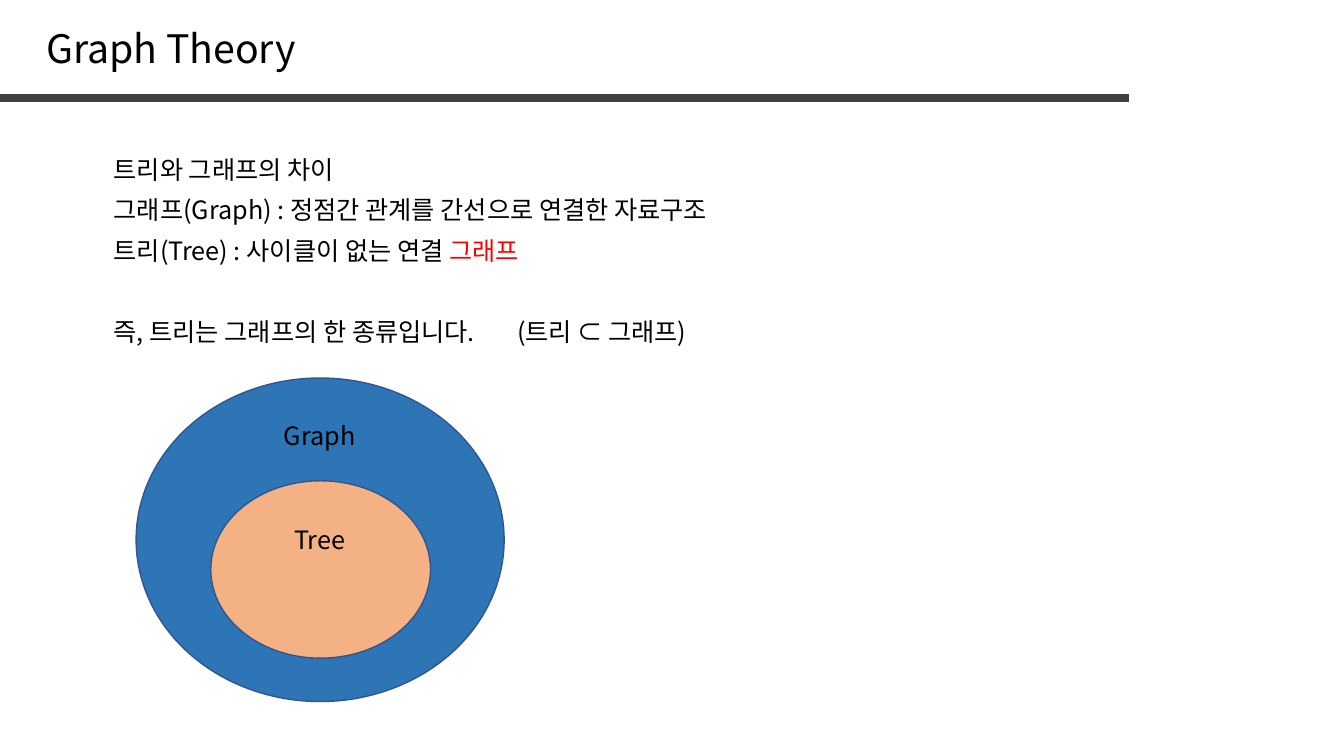
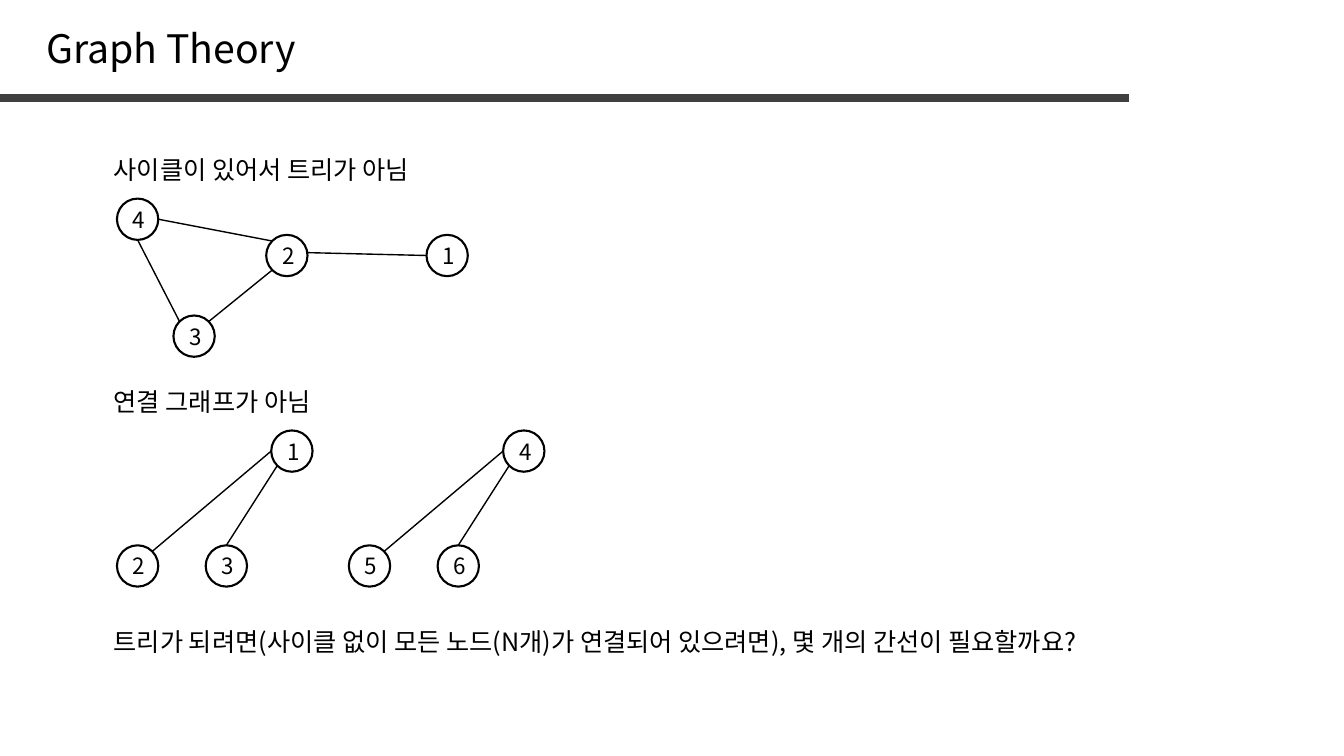
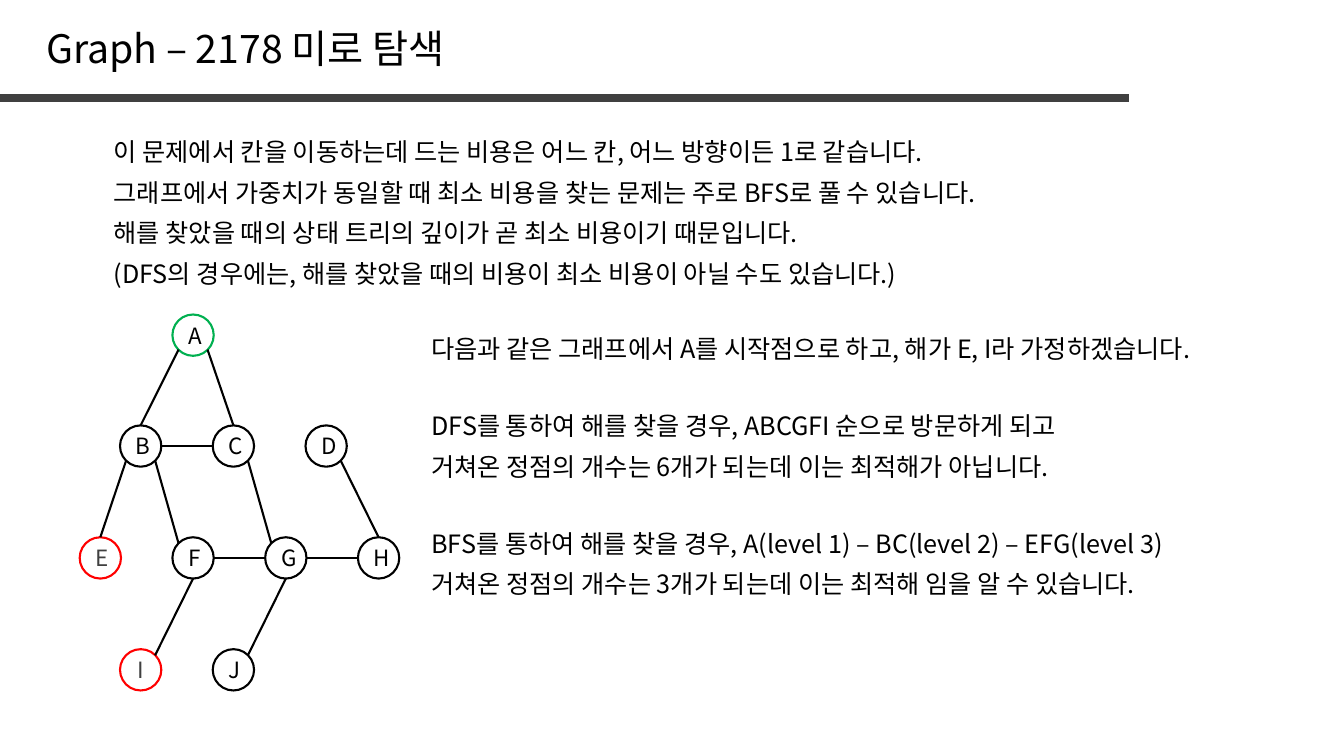
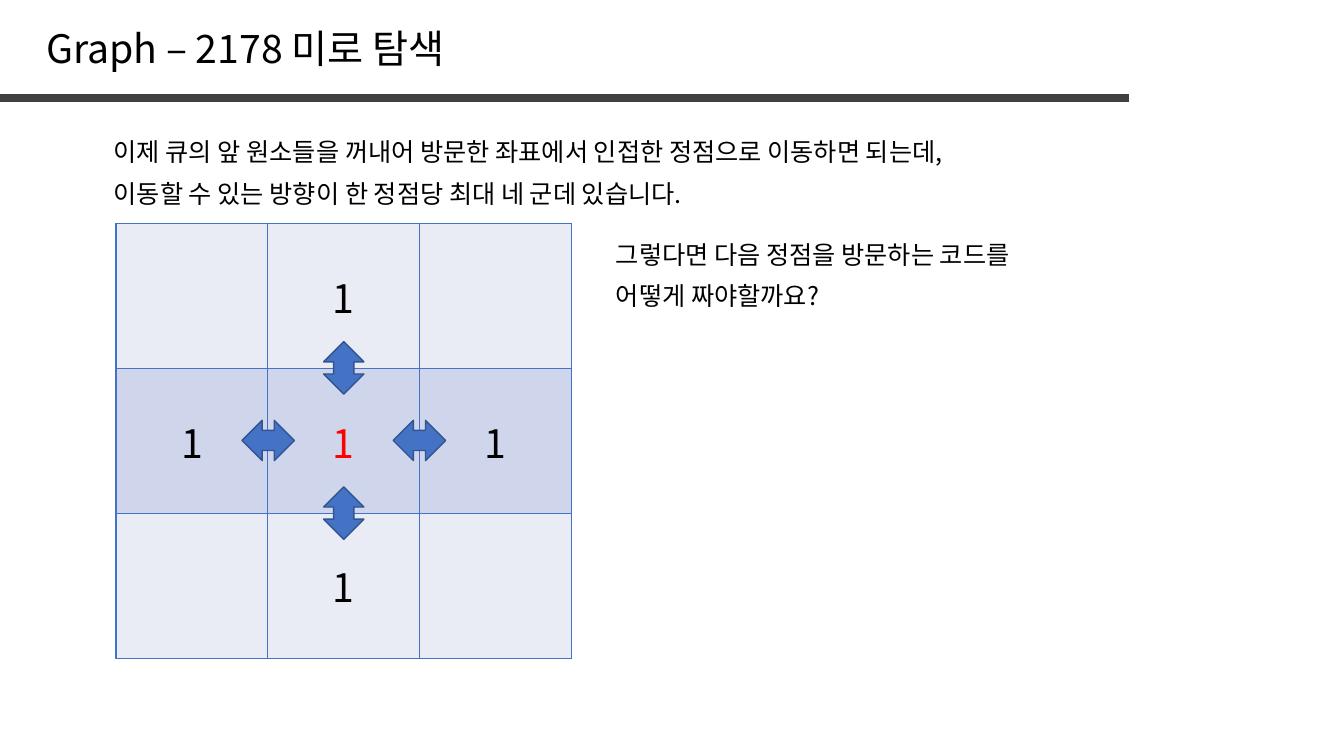
from dataclasses import dataclass
from enum import Enum

from lxml.etree import SubElement
from pptx import Presentation
from pptx.dml.color import RGBColor
from pptx.enum.shapes import MSO_CONNECTOR, MSO_SHAPE
from pptx.enum.text import MSO_ANCHOR, MSO_AUTO_SIZE, PP_ALIGN
from pptx.oxml.ns import qn
from pptx.util import Inches, Pt


@dataclass(frozen=True)
class Theme:
    font: str = "Noto Sans CJK KR"
    black: str = "000000"
    gray: str = "404040"
    red: str = "FF0000"
    green: str = "00B050"
    blue: str = "4472C4"
    outline: str = "325491"
    graph_fill: str = "2E75B6"
    tree_fill: str = "F4B183"
    row_fills: tuple = ("E9EBF5", "CFD5EA")
    title_size: int = 28
    body_size: int = 18
    node_size: int = 16
    cell_size: int = 28


THEME = Theme()
BODY_LEFT = 1.03
BODY_WIDTH = 11.2
LINE_HEIGHT = 0.4
NODE_DIAMETER = 0.41


class Site(Enum):
    """Points on a node's rim, as fractions of its box."""
    TOP = (0.5, 0)
    TOP_LEFT = (0.15, 0.15)
    LEFT = (0, 0.5)
    BOTTOM_LEFT = (0.15, 0.85)
    BOTTOM = (0.5, 1)
    BOTTOM_RIGHT = (0.85, 0.85)
    RIGHT = (1, 0.5)
    UPPER_RIGHT = (1, 0.43)
    TOP_RIGHT = (0.85, 0.15)


@dataclass(frozen=True)
class Node:
    label: str
    left: float
    top: float
    line_color: str = THEME.black
    text_color: str = THEME.black

    def point(self, site: Site) -> tuple[float, float]:
        across, down = site.value
        return self.left + across * NODE_DIAMETER, self.top + down * NODE_DIAMETER


@dataclass(frozen=True)
class Edge:
    start: str
    start_site: Site
    end: str
    end_site: Site


@dataclass(frozen=True)
class TextLine:
    text: str
    top: float
    left: float = BODY_LEFT
    width: float = BODY_WIDTH


def write(paragraph, text: str, *, size: int = THEME.body_size,
          color: str = THEME.black, align=None) -> None:
    """Append one formatted run to the paragraph."""
    if align is not None:
        paragraph.alignment = align
    run = paragraph.add_run()
    run.text = text
    run.font.size = Pt(size)
    run.font.name = THEME.font
    run.font.color.rgb = RGBColor.from_string(color)
    SubElement(run.font._element, qn("a:ea"), typeface=THEME.font)


def add_text(slide, line: TextLine, *, wrap: bool = True, **text_format):
    box = slide.shapes.add_textbox(Inches(line.left), Inches(line.top),
                                   Inches(line.width), Inches(LINE_HEIGHT))
    frame = box.text_frame
    frame.word_wrap = wrap
    frame.auto_size = MSO_AUTO_SIZE.SHAPE_TO_FIT_TEXT
    write(frame.paragraphs[0], line.text, **text_format)
    return frame.paragraphs[0]


def add_line(slide, start: tuple, end: tuple, *, color: str = THEME.black,
             width: float = 1) -> None:
    line = slide.shapes.add_connector(
        MSO_CONNECTOR.STRAIGHT, *(Inches(value) for value in (*start, *end)))
    line.line.color.rgb = RGBColor.from_string(color)
    line.line.width = Pt(width)
    SubElement(line._element.spPr, qn("a:effectLst"))


def add_figure(slide, kind, left: float, top: float, width: float, height: float, *,
               fill: str | None = None, color: str = THEME.outline,
               line_width: float = 1):
    shape = slide.shapes.add_shape(kind, Inches(left), Inches(top),
                                   Inches(width), Inches(height))
    shape.shadow.inherit = False
    if fill:
        shape.fill.solid()
        shape.fill.fore_color.rgb = RGBColor.from_string(fill)
    else:
        shape.fill.background()
    shape.line.color.rgb = RGBColor.from_string(color)
    shape.line.width = Pt(line_width)
    return shape


def add_network(slide, nodes: list[Node], edges: list[Edge], edge_width: float) -> None:
    """Draw labelled circles and the lines that join their rims."""
    for node in nodes:
        circle = add_figure(slide, MSO_SHAPE.OVAL, node.left, node.top,
                            NODE_DIAMETER, NODE_DIAMETER,
                            color=node.line_color, line_width=1.5)
        circle.text_frame.vertical_anchor = MSO_ANCHOR.MIDDLE
        write(circle.text_frame.paragraphs[0], node.label, size=THEME.node_size,
              color=node.text_color, align=PP_ALIGN.CENTER)
    by_label = {node.label: node for node in nodes}
    for edge in edges:
        add_line(slide, by_label[edge.start].point(edge.start_site),
                 by_label[edge.end].point(edge.end_site), width=edge_width)


def add_titled_slide(presentation, title: str, lines: list[TextLine]):
    slide = presentation.slides.add_slide(presentation.slide_layouts[6])
    add_line(slide, (0, 0.97), (11.2, 0.97), color=THEME.gray, width=6)
    add_text(slide, TextLine(title, 0.19, 0.36, 4.26), wrap=False, size=THEME.title_size,
             align=PP_ALIGN.LEFT)
    for line in lines:
        add_text(slide, line)
    return slide


def build_definitions(presentation) -> None:
    slide = add_titled_slide(presentation, "Graph Theory", [
        TextLine("트리와 그래프의 차이", 1.48),
        TextLine("그래프(Graph) : 정점간 관계를 간선으로 연결한 자료구조", 1.88),
        TextLine("즉, 트리는 그래프의 한 종류입니다.\t(트리 ⊂ 그래프)", 3.09),
    ])
    tree_definition = add_text(slide, TextLine("트리(Tree) : 사이클이 없는 연결 ", 2.29))
    write(tree_definition, "그래프", color=THEME.red)
    add_figure(slide, MSO_SHAPE.OVAL, 1.35, 3.75, 3.65, 3.21, fill=THEME.graph_fill)
    add_figure(slide, MSO_SHAPE.OVAL, 2.09, 4.77, 2.18, 1.76, fill=THEME.tree_fill)
    for label, top in (("Graph", 4.12), ("Tree", 5.15)):
        add_text(slide, TextLine(label, top, 2.31, 1.72), align=PP_ALIGN.CENTER)


def build_counterexamples(presentation) -> None:
    slide = add_titled_slide(presentation, "Graph Theory", [
        TextLine("사이클이 있어서 트리가 아님", 1.48),
        TextLine("연결 그래프가 아님", 3.78),
        TextLine("트리가 되려면(사이클 없이 모든 노드(N개)가 연결되어 있으려면), "
                 "몇 개의 간선이 필요할까요?", 6.16),
    ])
    cycle_nodes = [Node("4", 1.16, 1.97), Node("2", 2.64, 2.33),
                   Node("3", 1.72, 3.13), Node("1", 4.23, 2.33)]
    cycle_edges = [
        Edge("4", Site.RIGHT, "2", Site.TOP_LEFT),
        Edge("4", Site.BOTTOM, "3", Site.TOP_LEFT),
        Edge("2", Site.UPPER_RIGHT, "1", Site.LEFT),
        Edge("3", Site.TOP_RIGHT, "2", Site.BOTTOM_LEFT),
    ]
    add_network(slide, cycle_nodes, cycle_edges, 1)
    for (parent, first, second), left in (("123", 1.16), ("456", 3.46)):
        nodes = [Node(parent, left + 1.53, 4.27), Node(first, left, 5.41),
                 Node(second, left + 0.88, 5.41)]
        edges = [Edge(first, Site.TOP_RIGHT, parent, Site.LEFT),
                 Edge(second, Site.TOP, parent, Site.BOTTOM_LEFT)]
        add_network(slide, nodes, edges, 1)


def build_search_comparison(presentation) -> None:
    side = {"left": 4.18, "width": 8.04}
    slide = add_titled_slide(presentation, "Graph – 2178 미로 탐색", [
        TextLine("이 문제에서 칸을 이동하는데 드는 비용은 어느 칸, 어느 방향이든 1로 같습니다.", 1.3),
        TextLine("그래프에서 가중치가 동일할 때 최소 비용을 찾는 문제는 주로 BFS로 풀 수 있습니다.", 1.71),
        TextLine("해를 찾았을 때의 상태 트리의 깊이가 곧 최소 비용이기 때문입니다.", 2.11),
        TextLine("(DFS의 경우에는, 해를 찾았을 때의 비용이 최소 비용이 아닐 수도 있습니다.)", 2.51),
        TextLine("다음과 같은 그래프에서 A를 시작점으로 하고, 해가 E, I라 가정하겠습니다.", 3.26, **side),
        TextLine("DFS를 통하여 해를 찾을 경우, ABCGFI 순으로 방문하게 되고", 4.02, **side),
        TextLine("거쳐온 정점의 개수는 6개가 되는데 이는 최적해가 아닙니다.", 4.43, **side),
        TextLine("BFS를 통하여 해를 찾을 경우, A(level 1) – BC(level 2) – EFG(level 3)", 5.19, **side),
        TextLine("거쳐온 정점의 개수는 3개가 되는데 이는 최적해 임을 알 수 있습니다.", 5.59, **side),
    ])
    colors = {"A": (THEME.green, THEME.black),
              "E": (THEME.red, THEME.gray), "I": (THEME.red, THEME.gray)}
    levels = (("A", 1.71, 3.12), ("BCD", 1.19, 4.22), ("EFGH", 0.79, 5.33), ("IJ", 1.19, 6.44))
    nodes = [Node(label, left + 0.92 * column, top,
                  *colors.get(label, (THEME.black, THEME.black)))
             for labels, left, top in levels for column, label in enumerate(labels)]
    edges = [
        Edge("B", Site.TOP, "A", Site.BOTTOM_LEFT),
        Edge("C", Site.TOP, "A", Site.BOTTOM_RIGHT),
        Edge("E", Site.TOP, "B", Site.BOTTOM_LEFT),
        Edge("F", Site.TOP_LEFT, "B", Site.BOTTOM_RIGHT),
        Edge("C", Site.BOTTOM_RIGHT, "G", Site.TOP_LEFT),
        Edge("D", Site.BOTTOM_RIGHT, "H", Site.TOP),
        Edge("I", Site.TOP_RIGHT, "F", Site.BOTTOM),
        Edge("J", Site.TOP_RIGHT, "G", Site.BOTTOM),
        *(Edge(left, Site.RIGHT, right, Site.LEFT) for left, right in ("BC", "FG", "GH")),
    ]
    add_network(slide, nodes, edges, 1.5)


def set_cell_borders(cell, color: str) -> None:
    properties = cell._tc.get_or_add_tcPr()
    for position, side in enumerate(("lnL", "lnR", "lnT", "lnB")):
        border = SubElement(properties, qn(f"a:{side}"), w=str(Pt(1)))
        fill = SubElement(border, qn("a:solidFill"))
        SubElement(fill, qn("a:srgbClr"), val=color)
        properties.insert(position, border)


def add_neighbour_grid(slide) -> None:
    """Draw a 3 by 3 table whose middle cell and its four neighbours hold 1."""
    count, width, height = 3, 4.52, 4.31
    table = slide.shapes.add_table(count, count, Inches(1.15), Inches(2.22),
                                   Inches(width), Inches(height)).table
    for index in range(count):
        table.columns[index].width = Inches(width / count)
        table.rows[index].height = Inches(height / count)
    for row in range(count):
        for column in range(count):
            cell = table.cell(row, column)
            cell.fill.solid()
            cell.fill.fore_color.rgb = RGBColor.from_string(THEME.row_fills[row % 2])
            set_cell_borders(cell, THEME.blue)
            cell.vertical_anchor = MSO_ANCHOR.MIDDLE
            distance = abs(row - 1) + abs(column - 1)
            if distance < 2:
                write(cell.text_frame.paragraphs[0], "1", size=THEME.cell_size,
                      color=THEME.black if distance else THEME.red, align=PP_ALIGN.CENTER)


def build_neighbours(presentation) -> None:
    side = {"left": 6.01, "width": 6.17}
    slide = add_titled_slide(presentation, "Graph – 2178 미로 탐색", [
        TextLine("이제 큐의 앞 원소들을 꺼내어 방문한 좌표에서 인접한 정점으로 이동하면 되는데,", 1.3),
        TextLine("이동할 수 있는 방향이 한 정점당 최대 네 군데 있습니다.", 1.72),
        TextLine("그렇다면 다음 정점을 방문하는 코드를", 2.33, **side),
        TextLine("어떻게 짜야할까요?", 2.73, **side),
    ])
    add_neighbour_grid(slide)
    center_x, center_y, arrow_width, arrow_height = 3.41, 4.37, 0.52, 0.4
    for right, down in ((-0.75, 0), (0, -0.72), (0, 0.72), (0.75, 0)):
        arrow = add_figure(slide, MSO_SHAPE.LEFT_RIGHT_ARROW,
                           center_x + right - arrow_width / 2,
                           center_y + down - arrow_height / 2,
                           arrow_width, arrow_height, fill=THEME.blue)
        arrow.rotation = 270 if down else 0


def main() -> None:
    presentation = Presentation()
    presentation.slide_width = Inches(13.33)
    presentation.slide_height = Inches(7.5)
    build_definitions(presentation)
    build_counterexamples(presentation)
    build_search_comparison(presentation)
    build_neighbours(presentation)
    presentation.save("out.pptx")


if __name__ == "__main__":
    main()
